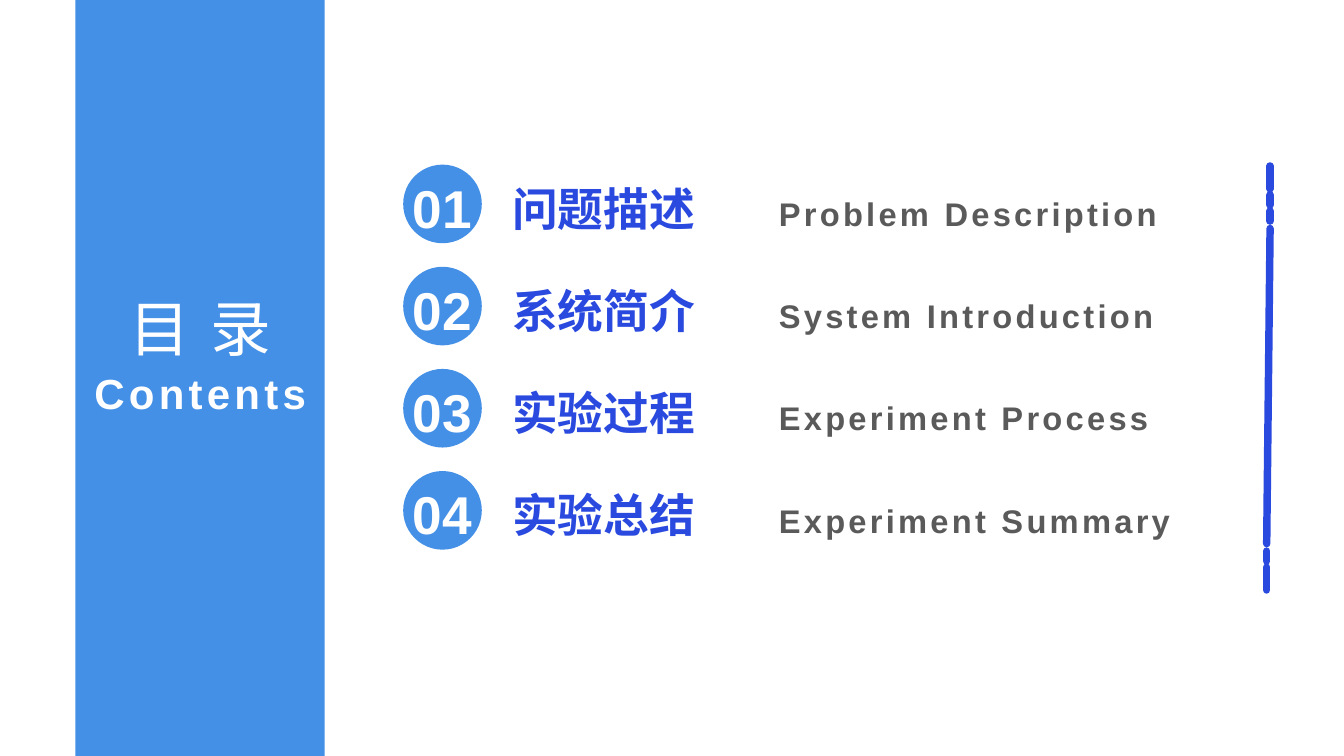
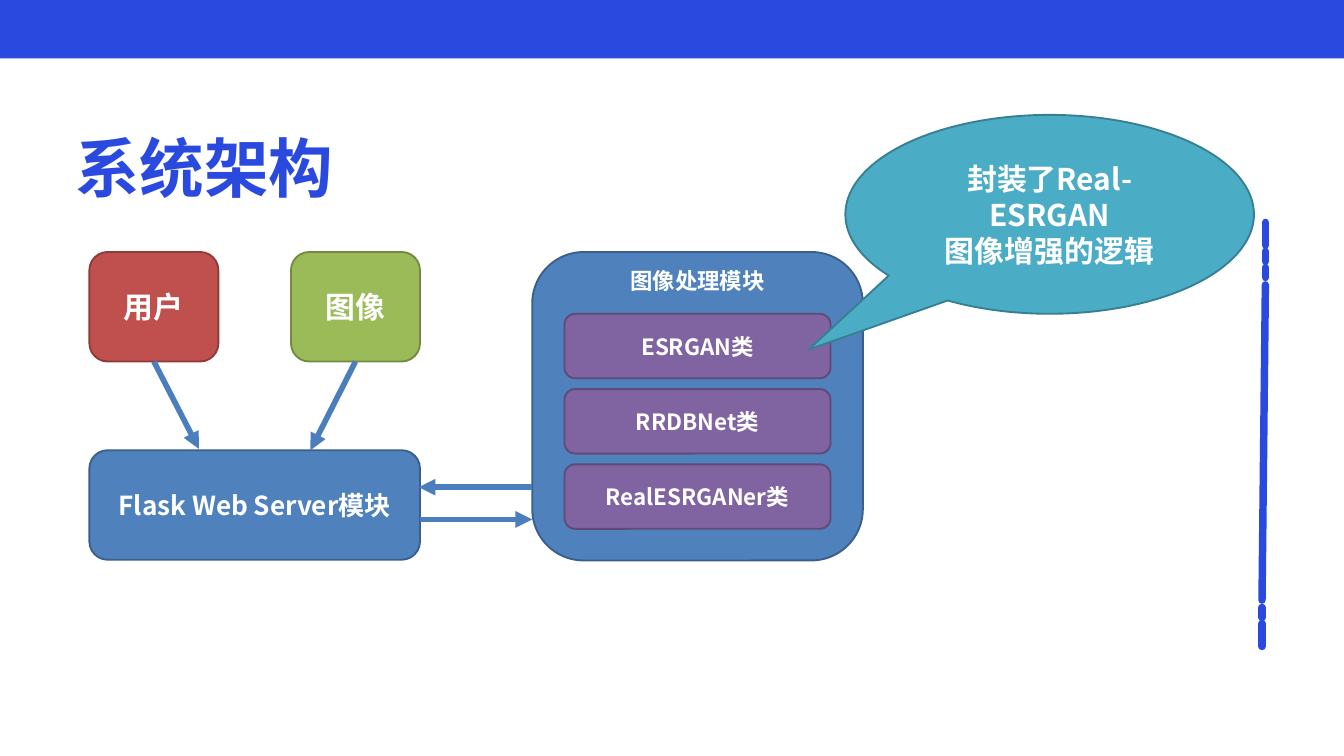
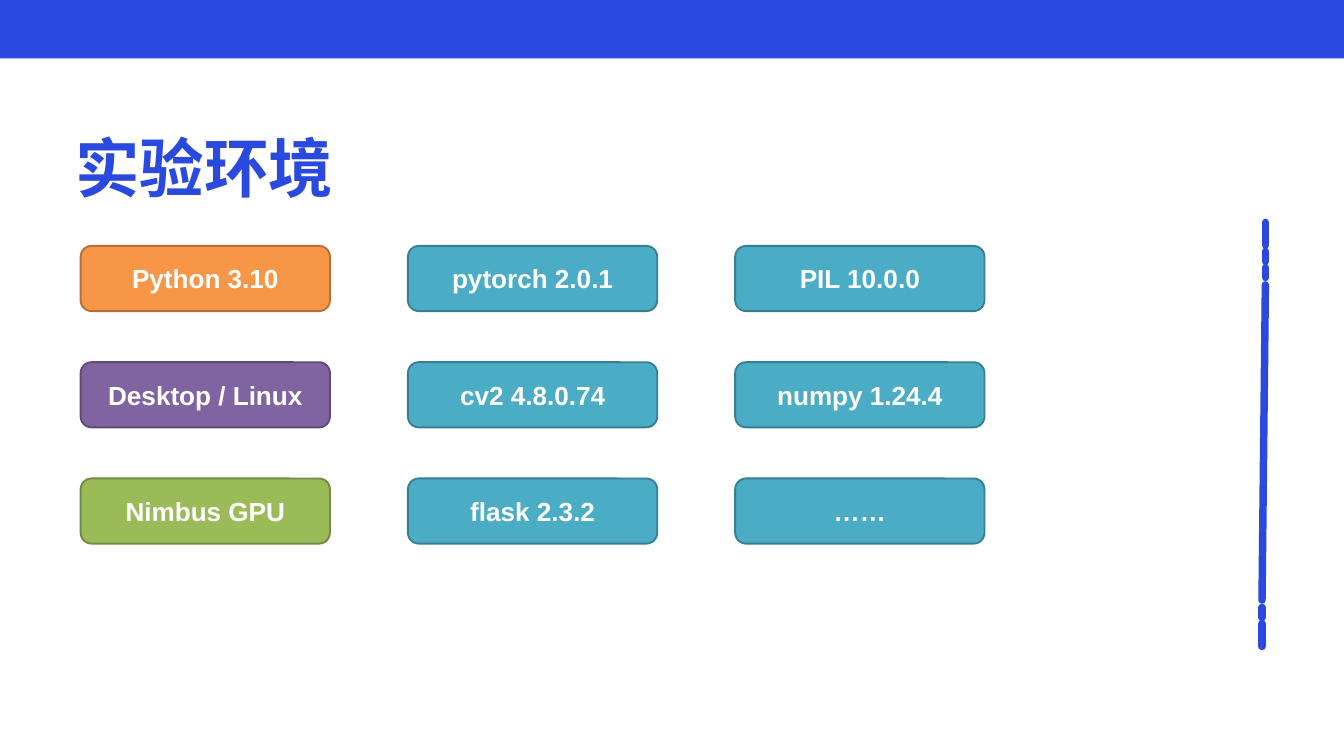
from dataclasses import dataclass
from typing import NamedTuple

from lxml.etree import SubElement
from pptx import Presentation
from pptx.dml.color import RGBColor as Rgb
from pptx.enum.shapes import MSO_CONNECTOR as Link, MSO_SHAPE as Kind
from pptx.enum.text import MSO_ANCHOR as Anchor, PP_ALIGN as Align
from pptx.oxml.ns import qn
from pptx.shapes.autoshape import Shape
from pptx.shapes.connector import Connector
from pptx.slide import Slide
from pptx.text.text import TextFrame
from pptx.util import Inches, Pt


class Tone(NamedTuple):
    fill: str
    edge: str


class Type(NamedTuple):
    size: float
    color: str
    font: str = "Arial"
    bold: bool = True
    track: float = 0  # extra space between letters, in points
    lead: float = 0  # exact line height, in points
    align: Align = Align.CENTER


class Box(NamedTuple):
    left: float
    top: float
    width: float
    height: float

    def emu(self) -> list[Inches]:
        return [Inches(side) for side in self]


class Point(NamedTuple):
    x: float
    y: float


SANS = "Noto Sans CJK SC"
WHITE = "FFFFFF"
ROYAL = "2A4ADF"


@dataclass(frozen=True)
class Theme:
    royal: str = ROYAL
    sky: str = "4590E7"
    arrow: str = "4B7EBC"
    red: Tone = Tone("C0504D", "8E3B39")
    blue: Tone = Tone("4F81BD", "3A5F8C")
    green: Tone = Tone("9BBB59", "738A42")
    purple: Tone = Tone("8064A2", "5F4A78")
    teal: Tone = Tone("4BACC6", "377F92")
    orange: Tone = Tone("F79646", "B76F34")
    title: Type = Type(69.1, ROYAL, SANS, lead=96.8, align=Align.JUSTIFY)
    menu: Type = Type(65, WHITE, bold=False, track=21.8, lead=91)
    menu_sub: Type = Type(45, WHITE, track=4.6, lead=63)
    number: Type = Type(57, WHITE, lead=79.8)
    topic: Type = Type(49, ROYAL, lead=68.6, align=Align.JUSTIFY)
    gloss: Type = Type(35, "5A5A5A", track=3.5, lead=49, align=Align.JUSTIFY)
    large: Type = Type(32, WHITE, SANS)
    server: Type = Type(28, WHITE, SANS)
    small: Type = Type(24, WHITE, SANS)
    tool: Type = Type(28, WHITE)


THEME = Theme()

TOPICS = [
    ("问题描述", "Problem Description"),
    ("系统简介", "System Introduction"),
    ("实验过程", "Experiment Process"),
    ("实验总结", "Experiment Summary"),
]
TOOLS = [
    [("Python 3.10", THEME.orange), ("pytorch 2.0.1", THEME.teal), ("PIL 10.0.0", THEME.teal)],
    [("Desktop / Linux", THEME.purple), ("cv2 4.8.0.74", THEME.teal), ("numpy 1.24.4", THEME.teal)],
    [("Nimbus GPU", THEME.green), ("flask 2.3.2", THEME.teal), ("……", THEME.teal)],
]
# Rail pieces, measured down from its top; the long one leans left.
DASHES = [(0, 0.34), (0.43, 0.58), (0.67, 0.82), (0.93, 5.62), (5.73, 5.88), (5.97, 6.31)]
LEAN = 0.05


def write(frame: TextFrame, lines: list[str], style: Type) -> None:
    frame.word_wrap = True
    for index, line in enumerate(lines):
        para = frame.add_paragraph() if index else frame.paragraphs[0]
        para.alignment = style.align
        if style.lead:
            para.line_spacing = Pt(style.lead)
        font = para.font
        font.name, font.size, font.bold = style.font, Pt(style.size), style.bold
        font.color.rgb = Rgb.from_string(style.color)
        run = para.add_run()
        run.text = line
        props = run._r.get_or_add_rPr()
        if style.track:
            props.set("spc", str(round(style.track * 100)))
        if style.font == SANS:
            SubElement(props, qn("a:ea"), typeface=SANS)


def label(slide: Slide, box: Box, text: str, style: Type) -> None:
    frame = slide.shapes.add_textbox(*box.emu()).text_frame
    frame.margin_left = frame.margin_top = frame.margin_right = frame.margin_bottom = 0
    write(frame, [text], style)


def plain(slide: Slide, kind: Kind, box: Box, fill: str) -> Shape:
    """Add a filled shape without line or shadow."""
    shape = slide.shapes.add_shape(kind, *box.emu())
    shape.shadow.inherit = False
    shape.fill.solid()
    shape.fill.fore_color.rgb = Rgb.from_string(fill)
    shape.line.fill.background()
    return shape


def node(slide: Slide, box: Box, lines: list[str], tone: Tone, style: Type,
         kind: Kind = Kind.ROUNDED_RECTANGLE) -> Shape:
    """Add an outlined shape with centred text."""
    shape = plain(slide, kind, box, tone.fill)
    shape.line.color.rgb = Rgb.from_string(tone.edge)
    shape.line.width = Pt(2)
    shape.text_frame.vertical_anchor = Anchor.MIDDLE
    write(shape.text_frame, lines, style)
    return shape


def stroke(slide: Slide, start: Point, end: Point, color: str, width: float) -> Connector:
    line = slide.shapes.add_connector(
        Link.STRAIGHT, *(Inches(side) for side in (*start, *end)))
    line.line.color.rgb = Rgb.from_string(color)
    line.line.width = Pt(width)
    SubElement(line._element.spPr, qn("a:effectLst"))
    return line


def arrow(slide: Slide, start: Point, end: Point) -> Connector:
    line = stroke(slide, start, end, THEME.arrow, 6)
    SubElement(line._element.spPr.find(qn("a:ln")), qn("a:tailEnd"), type="triangle")
    return line


def rail(slide: Slide, top: Point) -> None:
    """Draw the broken vertical line at the right edge."""
    middle = DASHES[3][0]
    for first, last in DASHES:
        start = Point(top.x - LEAN * (first > middle), top.y + first)
        end = Point(top.x - LEAN * (last > middle), top.y + last)
        dash = stroke(slide, start, end, THEME.royal, 8)
        dash._element.spPr.find(qn("a:ln")).set("cap", "rnd")


def page(deck: Presentation) -> Slide:
    return deck.slides.add_slide(deck.slide_layouts[6])


def topic_page(deck: Presentation, title: str) -> Slide:
    """Add a slide with the top band, title and rail."""
    slide = page(deck)
    label(slide, Box(1.12, 1.71, 8.88, 1.18), title, THEME.title)
    plain(slide, Kind.RECTANGLE, Box(0, 0, 20, 0.87), THEME.royal)
    rail(slide, Point(18.83, 3.31))
    return slide


def contents(deck: Presentation) -> None:
    slide = page(deck)
    plain(slide, Kind.RECTANGLE, Box(1.12, 0, 3.71, 11.25), THEME.sky)
    rail(slide, Point(18.9, 2.47))
    label(slide, Box(1.63, 4.14, 2.69, 1.15), "目录", THEME.menu)
    label(slide, Box(1.27, 5.34, 3.42, 0.81), "Contents", THEME.menu_sub)
    for index, (topic, gloss) in enumerate(TOPICS):
        top = 2.45 + 1.52 * index
        plain(slide, Kind.OVAL, Box(6, top, 1.17, 1.17), THEME.sky)
        label(slide, Box(6, top, 1.17, 1.02), f"{index + 1:02}", THEME.number)
        label(slide, Box(7.62, top + 0.1, 3.53, 0.88), topic, THEME.topic)
        label(slide, Box(11.59, top + 0.34, 6.66, 0.63), gloss, THEME.gloss)


def system(deck: Presentation) -> None:
    slide = topic_page(deck, "系统架构")
    user = node(slide, Box(1.33, 3.75, 1.92, 1.63), ["用户"], THEME.red, THEME.large)
    image = node(slide, Box(4.33, 3.75, 1.92, 1.63), ["图像"], THEME.green, THEME.large)
    node(slide, Box(1.33, 6.7, 4.92, 1.63), ["Flask Web Server模块"], THEME.blue, THEME.server)

    module = node(slide, Box(7.92, 3.75, 4.92, 4.59), ["图像处理模块"], THEME.blue, THEME.small)
    module.text_frame.vertical_anchor = Anchor.TOP
    module.text_frame.margin_top = 0
    for index, name in enumerate(("ESRGAN", "RRDBNet", "RealESRGANer")):
        box = Box(8.4, 4.67 + 1.12 * index, 3.96, 0.96)
        node(slide, box, [f"{name}类"], THEME.purple, THEME.small)

    arrow(slide, Point(2.29, 5.38), Point(2.96, 6.68)).begin_connect(user, 2)
    arrow(slide, Point(5.29, 5.38), Point(4.62, 6.7)).begin_connect(image, 2)
    arrow(slide, Point(6.25, 7.73), Point(7.92, 7.73))
    arrow(slide, Point(7.92, 7.25), Point(6.23, 7.25))

    note = node(slide, Box(12.58, 1.71, 6.08, 2.96), ["封装了Real-ESRGAN", "图像增强的逻辑"],
                THEME.teal, THEME.large, Kind.OVAL_CALLOUT)
    note.adjustments[0] = -0.59
    note.adjustments[1] = 0.68


def setup(deck: Presentation) -> None:
    slide = topic_page(deck, "实验环境")
    for row, tools in enumerate(TOOLS):
        for col, (name, tone) in enumerate(tools):
            box = Box(1.2 + 4.87 * col, 3.66 + 1.73 * row, 3.71, 0.97)
            node(slide, box, [name], tone, THEME.tool)


def main() -> None:
    deck = Presentation()
    deck.slide_width, deck.slide_height = Inches(20), Inches(11.25)
    contents(deck)
    system(deck)
    setup(deck)
    deck.save("out.pptx")


if __name__ == "__main__":
    main()
